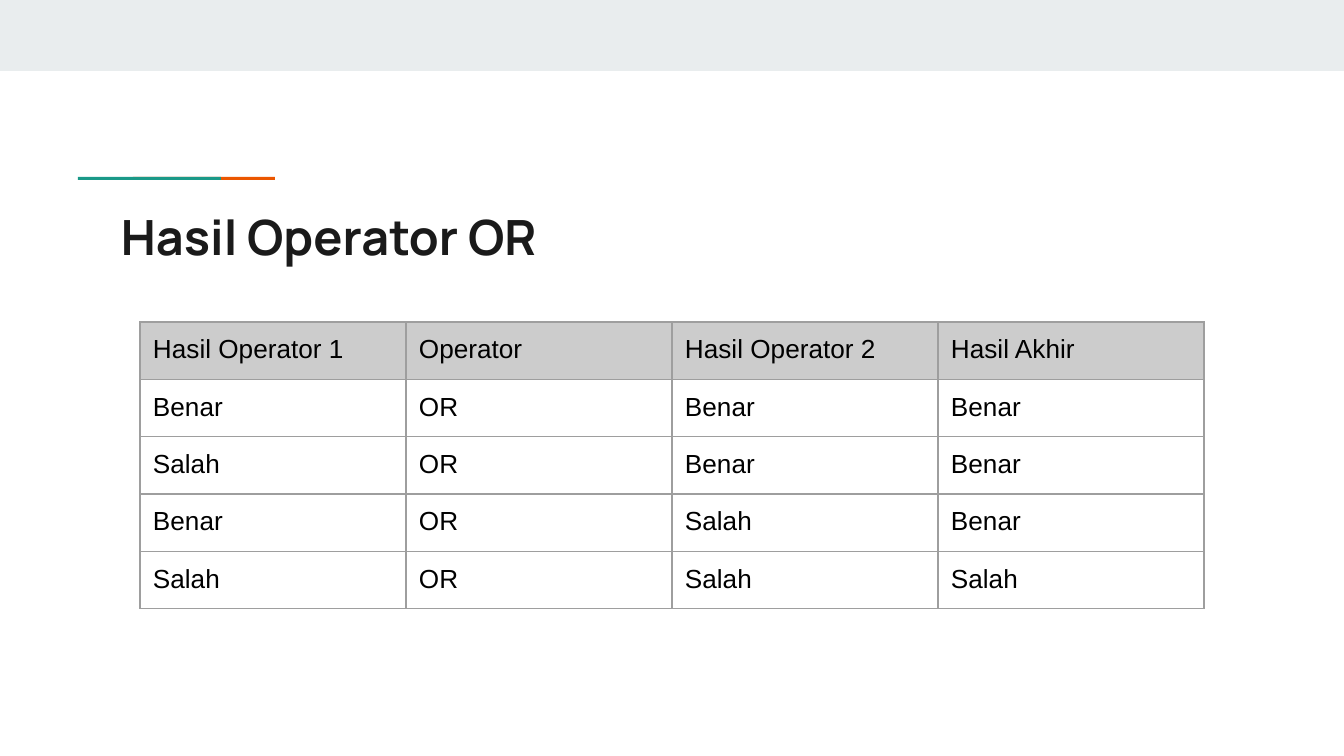
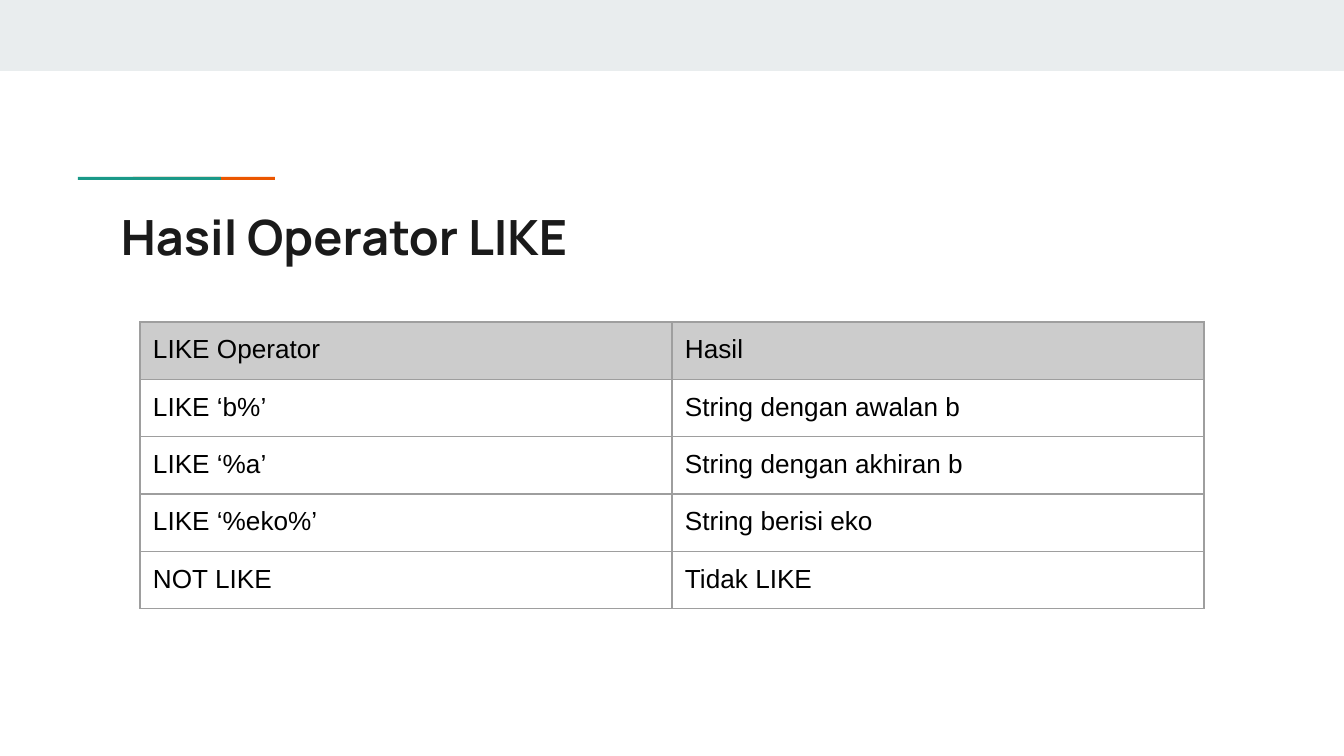
from lxml import etree
from pptx import Presentation
from pptx.dml.color import RGBColor
from pptx.enum import shapes, text
from pptx.oxml import ns
from pptx.util import Emu, Pt

# Scale: 134.4 px to the inch
EMU_PER_PX = 914400 / 134.4
SLIDE_W, SLIDE_H = 1344, 756
INSET = 13

# Colours
WHITE = RGBColor(0xFF, 0xFF, 0xFF)
BLACK = RGBColor(0, 0, 0)
BAND = RGBColor(0xE9, 0xED, 0xEE)
ORANGE = RGBColor(0xEB, 0x56, 0x00)
TEAL = RGBColor(0x1A, 0x99, 0x88)
INK = RGBColor(0x1A, 0x1A, 0x1A)
HEADER = RGBColor(0xCC, 0xCC, 0xCC)
BORDER = RGBColor(0x9E, 0x9E, 0x9E)

# Table frame
TABLE_X, TABLE_Y, TABLE_W, ROW_H = 140, 322, 1064, 56

OR_ROWS = [
    ("Hasil Operator 1", "Operator", "Hasil Operator 2", "Hasil Akhir"),
    ("Benar", "OR", "Benar", "Benar"),
    ("Salah", "OR", "Benar", "Benar"),
    ("Benar", "OR", "Salah", "Benar"),
    ("Salah", "OR", "Salah", "Salah"),
]
LIKE_ROWS = [
    ("LIKE Operator", "Hasil"),
    ("LIKE ‘b%’", "String dengan awalan b"),
    ("LIKE ‘%a’", "String dengan akhiran b"),
    ("LIKE ‘%eko%’", "String berisi eko"),
    ("NOT LIKE", "Tidak LIKE"),
]


def px(n):
    return Emu(round(n * EMU_PER_PX))


def write(tf, words, *, size, font, color, bold=False):
    r = tf.paragraphs[0].add_run()
    r.text = words
    r.font.size = Pt(size)
    r.font.name = font
    r.font.bold = bold
    r.font.color.rgb = color


def set_insets(box):
    box.margin_left = box.margin_right = px(INSET)
    box.margin_top = box.margin_bottom = px(INSET)
    box.vertical_anchor = text.MSO_ANCHOR.TOP


def add_bar(s, x, y, w, h, color):
    sp = s.shapes.add_shape(shapes.MSO_SHAPE.RECTANGLE, px(x), px(y), px(w), px(h))
    sp.shadow.inherit = False
    sp.fill.solid()
    sp.fill.fore_color.rgb = color
    sp.line.fill.background()


def add_title(s, words):
    tf = s.shapes.add_textbox(px(108), px(194), px(1130), px(79)).text_frame
    tf.word_wrap = True
    set_insets(tf)
    write(tf, words, size=26, font="Manrope", color=INK, bold=True)


def set_borders(cell):
    tc_pr = cell._tc.get_or_add_tcPr()
    for i, side in enumerate(("a:lnL", "a:lnR", "a:lnT", "a:lnB")):
        ln = etree.Element(ns.qn(side), w=str(Pt(0.75)))
        fill = etree.SubElement(ln, ns.qn("a:solidFill"))
        etree.SubElement(fill, ns.qn("a:srgbClr"), val=str(BORDER))
        tc_pr.insert(i, ln)  # borders come before the fill


def add_grid(s, rows):
    n_rows, n_cols = len(rows), len(rows[0])
    table = s.shapes.add_table(n_rows, n_cols, px(TABLE_X), px(TABLE_Y),
                               px(TABLE_W), px(ROW_H * n_rows)).table
    table.horz_banding = False
    for i, row in enumerate(rows):
        table.rows[i].height = px(ROW_H)
        for j, words in enumerate(row):
            cell = table.cell(i, j)
            set_insets(cell)
            if i == 0:
                cell.fill.solid()
                cell.fill.fore_color.rgb = HEADER
            else:
                cell.fill.background()
            set_borders(cell)
            write(cell.text_frame, words, size=14, font="Arial", color=BLACK)


def add_slide(prs, title, rows):
    s = prs.slides.add_slide(prs.slide_layouts[6])
    s.background.fill.solid()
    s.background.fill.fore_color.rgb = WHITE
    # Top band and two-colour accent; teal overlaps orange
    add_bar(s, 0, 0, SLIDE_W, 71, BAND)
    add_bar(s, 133, 177, 142, 3, ORANGE)
    add_bar(s, 78, 177, 143, 3, TEAL)
    # Content
    add_title(s, title)
    add_grid(s, rows)


def main():
    prs = Presentation()
    prs.slide_width, prs.slide_height = px(SLIDE_W), px(SLIDE_H)
    add_slide(prs, "Hasil Operator OR", OR_ROWS)
    add_slide(prs, "Hasil Operator LIKE", LIKE_ROWS)
    prs.save("out.pptx")


if __name__ == "__main__":
    main()
